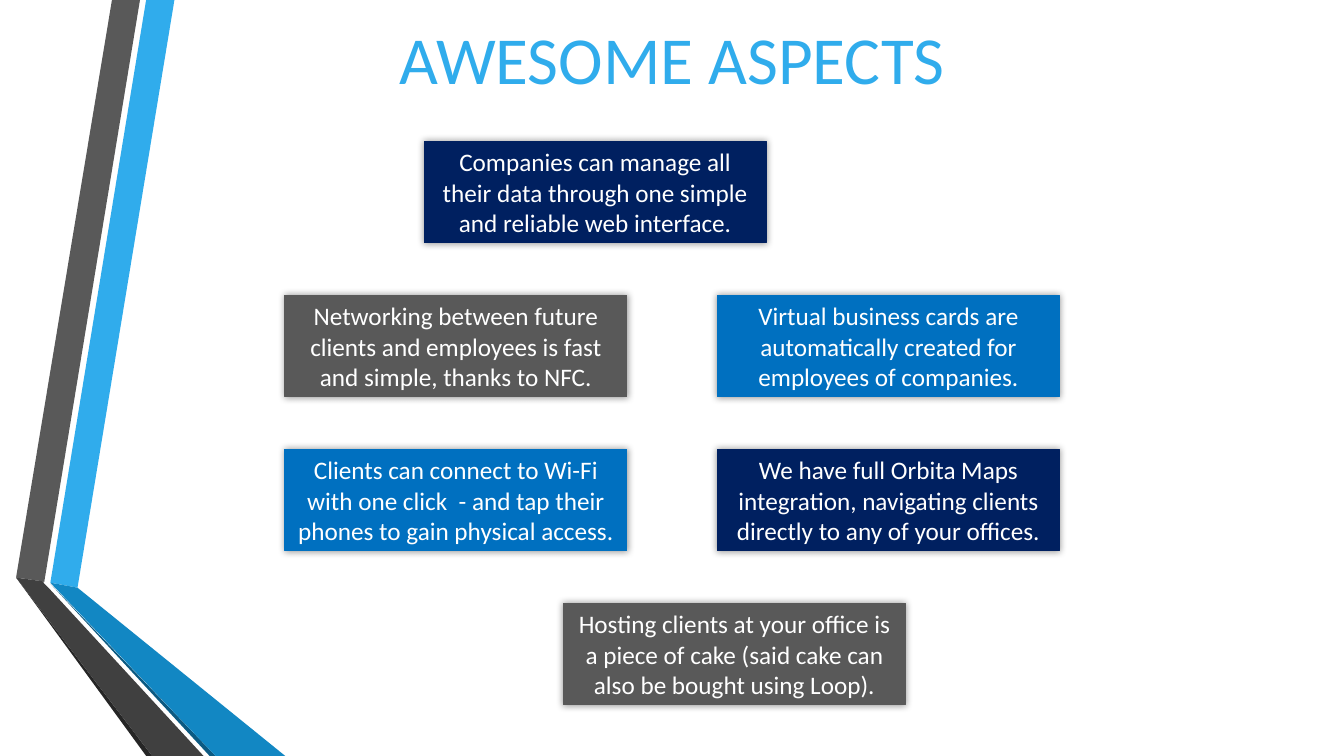
import pptx
import pptx.util
import pptx.dml.color
import pptx.enum.shapes
import pptx.enum.text
import pptx.oxml
import pptx.oxml.ns

Pt = pptx.util.Pt
RGB = pptx.dml.color.RGBColor.from_string
MID = pptx.enum.text.MSO_ANCHOR.MIDDLE
CENTER = pptx.enum.text.PP_ALIGN.CENTER
RECT = pptx.enum.shapes.MSO_SHAPE.RECTANGLE

HUES = {
    "sky": "30ACEC", "gray": "595959", "black": "262626", "deep": "0C5A82",
    "sea": "1287C3", "coal": "404040", "blue": "0070C0", "navy": "002060",
    "white": "FFFFFF",
}

deck = pptx.Presentation()
deck.slide_width, deck.slide_height = Pt(960), Pt(540)
slide = deck.slides.add_slide(deck.slide_layouts[5])
shapes = slide.shapes


def write(shape, words, size, hue):
    """Put one centred Calibri paragraph in the shape."""
    frame = shape.text_frame
    frame.text = words
    frame.vertical_anchor = MID
    para = frame.paragraphs[0]
    para.alignment = CENTER
    font = para.runs[0].font
    font.name, font.size = "Calibri", Pt(size)
    font.color.rgb = RGB(HUES[hue])


# Folded ribbons down the left edge, back to front
bands = [
    ("sky", [(36, 416.2), (55.4, 419.8), (124.6, 0), (104.4, 0)]),
    ("gray", [(100, 0), (80, 0), (11.5, 412.6), (31.7, 415.4)]),
    ("black", [(11.5, 412.6), (104.4, 540), (108.7, 540)]),
    ("deep", [(36, 416.9), (149.8, 540), (154.1, 540)]),
    ("sea", [(36, 416.2), (154.1, 540), (203.8, 540), (55.4, 419.8)]),
    ("coal", [(11.5, 412.6), (108.7, 540), (145.4, 540), (34.6, 419.8),
              (31, 416.2), (31.7, 415.4)]),
]
for hue, spots in bands:
    first, *rest = [(Pt(x), Pt(y)) for x, y in spots]
    pen = shapes.build_freeform(*first)
    pen.add_line_segments(rest, close=True)
    band = pen.convert_to_shape()
    band.shadow.inherit = False
    band.fill.solid()
    band.fill.fore_color.rgb = RGB(HUES[hue])
    band.line.fill.background()

title = shapes.title
title.left, title.top, title.width, title.height = Pt(258.5), Pt(8.6), Pt(443.5), Pt(65.5)
write(title, "AWESOME ASPECTS", 48, "sky")
title.text_frame.word_wrap = False

# Cards: left edge, row, colour, words
TOP, STEP, WIDE, HIGH = 100.8, 110, 244.3, 72.7
LEFT, RIGHT = 203.5, 512.5
cards = [
    (303, 0, "navy", "Companies can manage all their data through one simple and reliable web interface."),
    (LEFT, 1, "gray", "Networking between future clients and employees is fast and simple, thanks to NFC."),
    (RIGHT, 1, "blue", "Virtual business cards are automatically created for employees of companies."),
    (LEFT, 2, "blue", "Clients can connect to Wi-Fi with one click  - and tap their phones to gain physical access."),
    (RIGHT, 2, "navy", "We have full Orbita Maps integration, navigating clients directly to any of your offices."),
    (402.5, 3, "gray", "Hosting clients at your office is a piece of cake (said cake can also be bought using Loop)."),
]
GLOW = (
    f'<a:outerShdw {pptx.oxml.ns.nsdecls("a")} blurRad="{Pt(5)}" dist="0" dir="0" algn="ctr" rotWithShape="0">'
    '<a:srgbClr val="000000"><a:alpha val="40000"/></a:srgbClr></a:outerShdw>'
)
for left, row, hue, words in cards:
    card = shapes.add_shape(RECT, Pt(left), Pt(TOP + row * STEP), Pt(WIDE), Pt(HIGH))
    card.fill.solid()
    card.fill.fore_color.rgb = RGB(HUES[hue])
    card.line.color.rgb = RGB(HUES[hue])
    card.line.width = Pt(0.75)
    card.shadow.inherit = False
    effects = card._element.spPr.find(pptx.oxml.ns.qn("a:effectLst"))
    effects.append(pptx.oxml.parse_xml(GLOW))
    write(card, words, 18, "white")
    card.text_frame.word_wrap = True

deck.save("out.pptx")
